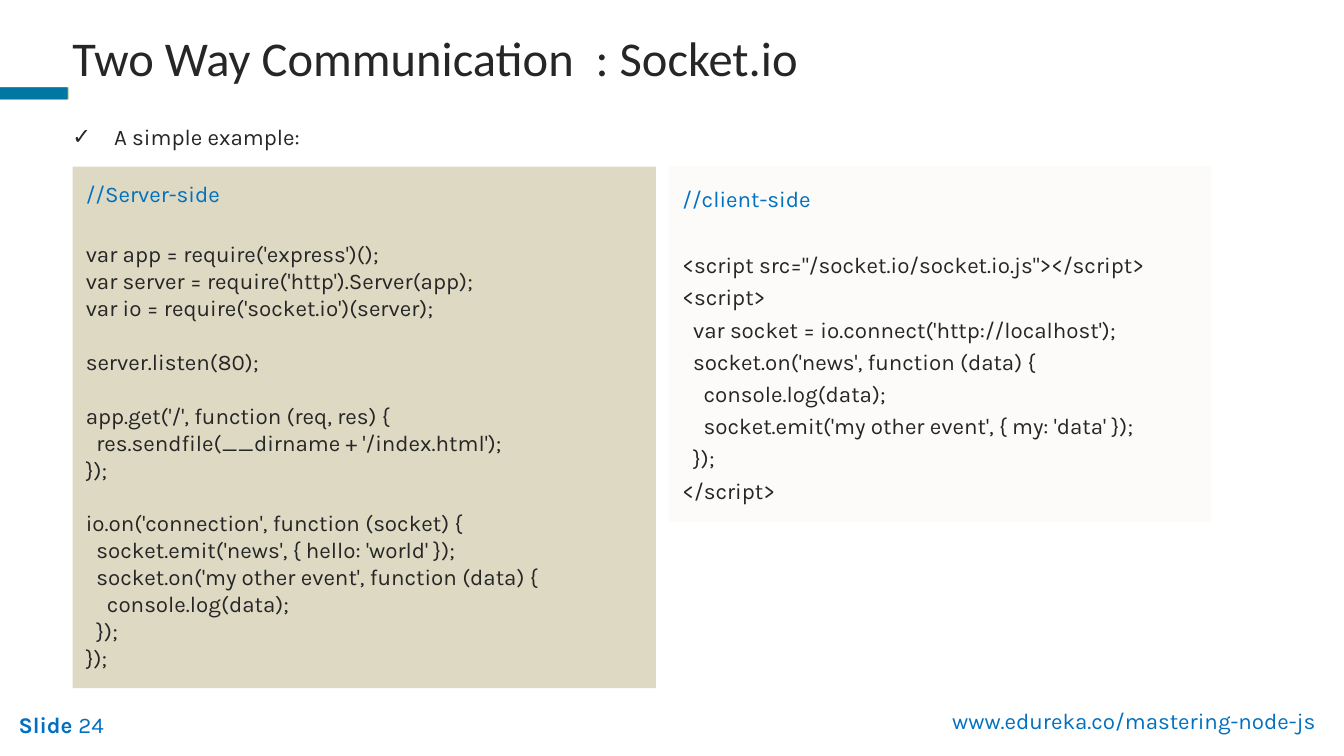
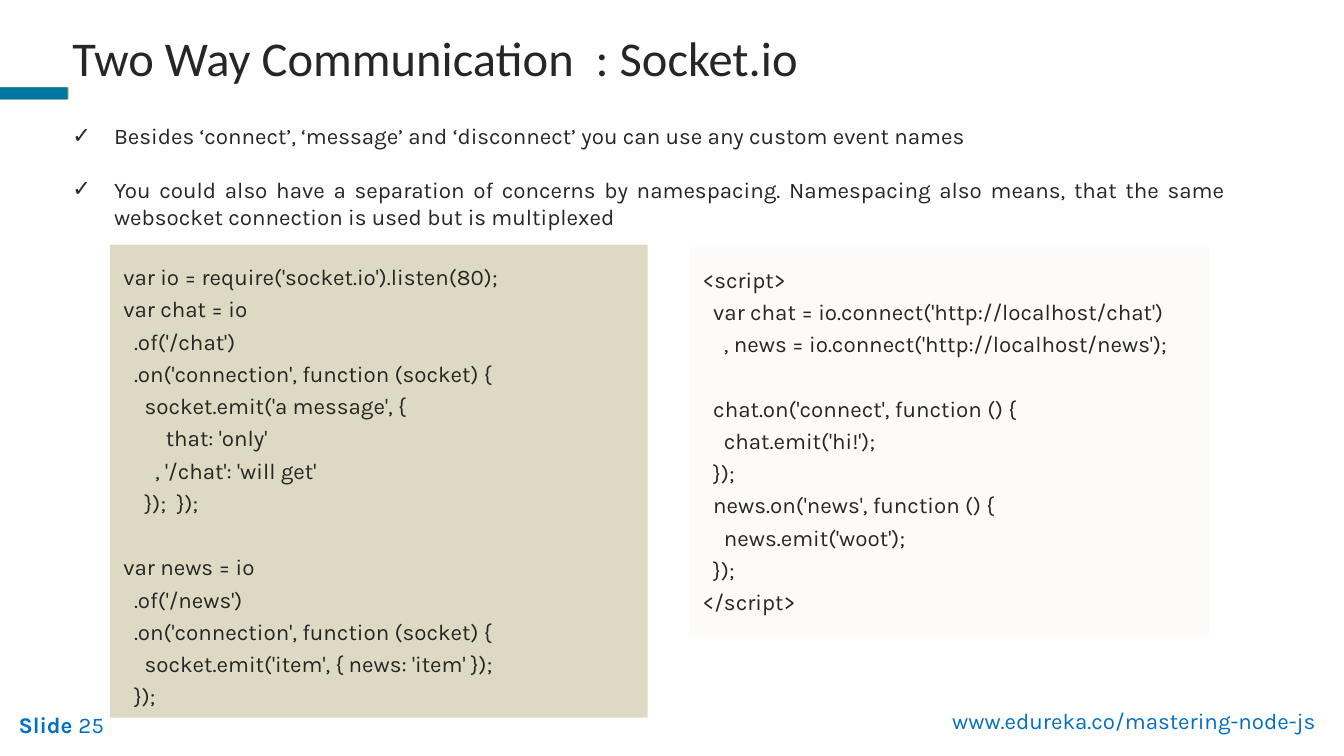
import pptx
import pptx.dml.color
import pptx.enum.shapes
import pptx.enum.text
import pptx.oxml.ns
import pptx.util
from lxml import etree

Inches, Pt = pptx.util.Inches, pptx.util.Pt
ALIGN = pptx.enum.text.PP_ALIGN

INK, LINK = "262626", "0070C0"
BAND, BAND_EDGE = "0076A3", "5C9B1D"
SERVER_FILL, CLIENT_FILL = "DDD9C3", "FCFBF9"
HEADING_FONT, BODY_FONT, BODY_SIZE = "Calibri", "Karla", 12
TITLE = "Two Way Communication  : Socket.io"
SITE = "www.edureka.co/mastering-node-js"

SERVER_BASIC = """var app = require('express')();
var server = require('http').Server(app);
var io = require('socket.io')(server);

server.listen(80);

app.get('/', function (req, res) {
  res.sendfile(__dirname + '/index.html');
});

io.on('connection', function (socket) {
  socket.emit('news', { hello: 'world' });
  socket.on('my other event', function (data) {
    console.log(data);
  });
});"""

CLIENT_BASIC = """<script src="/socket.io/socket.io.js"></script>
<script>
  var socket = io.connect('http://localhost');
  socket.on('news', function (data) {
    console.log(data);
    socket.emit('my other event', { my: 'data' });
  });
</script>"""

SERVER_NAMESPACES = """var io = require('socket.io').listen(80);
var chat = io
  .of('/chat')
  .on('connection', function (socket) {
    socket.emit('a message', {
        that: 'only'
      , '/chat': 'will get'
    });  });

var news = io
  .of('/news')
  .on('connection', function (socket) {
    socket.emit('item', { news: 'item' });
  });"""

CLIENT_NAMESPACES = """<script>
  var chat = io.connect('http://localhost/chat')
    , news = io.connect('http://localhost/news');

  chat.on('connect', function () {
    chat.emit('hi!');
  });
  news.on('news', function () {
    news.emit('woot');
  });
</script>"""


def rgb(hex_code):
    return pptx.dml.color.RGBColor.from_string(hex_code)


def add_run(paragraph, text, color=INK, size=BODY_SIZE, font=BODY_FONT, bold=False):
    run = paragraph.add_run()
    run.text = text
    run.font.name, run.font.size, run.font.bold = font, Pt(size), bold
    run.font.color.rgb = rgb(color)


def add_rect(slide, box, fill):
    rect = slide.shapes.add_shape(
        pptx.enum.shapes.MSO_SHAPE.RECTANGLE, *map(Inches, box))
    rect.shadow.inherit = False
    rect.fill.solid()
    rect.fill.fore_color.rgb = rgb(fill)
    rect.line.fill.background()
    return rect


def add_text_frame(slide, box):
    frame = slide.shapes.add_textbox(*map(Inches, box)).text_frame
    frame.word_wrap = True
    return frame


def paragraphs(frame, count):
    """Yield count paragraphs, starting with the one the frame already has."""
    for index in range(count):
        yield frame.add_paragraph() if index else frame.paragraphs[0]


def add_check_bullet(paragraph):
    properties = paragraph._p.get_or_add_pPr()
    properties.set("marL", str(Inches(0.31)))
    properties.set("indent", str(-Inches(0.31)))
    qn = pptx.oxml.ns.qn
    color = etree.SubElement(properties, qn("a:buClr"))
    etree.SubElement(color, qn("a:srgbClr"), val=INK)
    etree.SubElement(properties, qn("a:buFont"), typeface=BODY_FONT)
    etree.SubElement(properties, qn("a:buChar"), char="✓")


def add_frame(slide, number):
    """Place the footer, accent band and title shared by every slide."""
    site = add_text_frame(slide, (5.62, 5.21, 4.27, 0.3)).paragraphs[0]
    site.alignment = ALIGN.RIGHT
    add_run(site, SITE, LINK)

    slide_number = add_text_frame(slide, (0.04, 5.24, 1.58, 0.3)).paragraphs[0]
    add_run(slide_number, "Slide ", LINK, bold=True)
    add_run(slide_number, str(number), LINK)

    for left, color in ((0, BAND_EDGE), (-0.01, BAND)):
        add_rect(slide, (left, 0.65, 0.51, 0.09), color)

    title = add_text_frame(slide, (0.44, 0.16, 7.58, 0.54)).paragraphs[0]
    add_run(title, TITLE, size=26, font=HEADING_FONT)


def add_points(slide, box, points):
    frame = add_text_frame(slide, box)
    for index, paragraph in enumerate(paragraphs(frame, len(points))):
        add_check_bullet(paragraph)
        paragraph.alignment = ALIGN.JUSTIFY
        if index:
            paragraph.space_before = Pt(14.4)
        add_run(paragraph, points[index])


def add_code(slide, box, fill, code, comment=None, line_spacing=1.2):
    frame = add_rect(slide, box, fill).text_frame
    frame.word_wrap = True
    frame.vertical_anchor = pptx.enum.text.MSO_ANCHOR.TOP
    frame.margin_left = frame.margin_right = Inches(0.1)
    frame.margin_top = frame.margin_bottom = Inches(0.1)
    blocks = [(comment, LINK)] if comment else []
    blocks.append((code, INK))
    for paragraph, (text, color) in zip(paragraphs(frame, len(blocks)), blocks):
        paragraph.alignment = ALIGN.LEFT
        paragraph.line_spacing = line_spacing
        paragraph.space_after = Pt(18)
        for index, line in enumerate(text.split("\n")):
            if index:
                paragraph.add_line_break()
                paragraph._p[-1].get_or_add_rPr().set("sz", str(BODY_SIZE * 100))
            if line:
                add_run(paragraph, line, color)


def add_slide(deck, number, points_top, points):
    slide = deck.slides.add_slide(deck.slide_layouts[6])
    add_frame(slide, number)
    add_points(slide, (0.44, points_top, 8.78, 3.88), points)
    return slide


def main():
    deck = pptx.Presentation()
    deck.slide_width = Inches(10)
    deck.slide_height = deck.slide_width * 9 // 16

    basic = add_slide(deck, 24, 0.87, ["A simple example:"])
    add_code(basic, (0.54, 1.24, 4.34, 3.88), SERVER_FILL, SERVER_BASIC,
             "//Server-side", line_spacing=1.0)
    add_code(basic, (4.98, 1.24, 4.03, 2.64), CLIENT_FILL, CLIENT_BASIC,
             "//client-side")

    namespaces = add_slide(deck, 25, 0.86, [
        "Besides ‘connect’, ‘message’ and ‘disconnect’ you can use any custom "
        "event names",
        "You could also have a separation of concerns by namespacing. Namespacing "
        "also means, that the same websocket connection is used but is multiplexed",
    ])
    add_code(namespaces, (0.82, 1.82, 4, 3.52), SERVER_FILL, SERVER_NAMESPACES)
    add_code(namespaces, (5.13, 1.84, 3.87, 2.9), CLIENT_FILL, CLIENT_NAMESPACES)

    deck.save("out.pptx")


if __name__ == "__main__":
    main()
